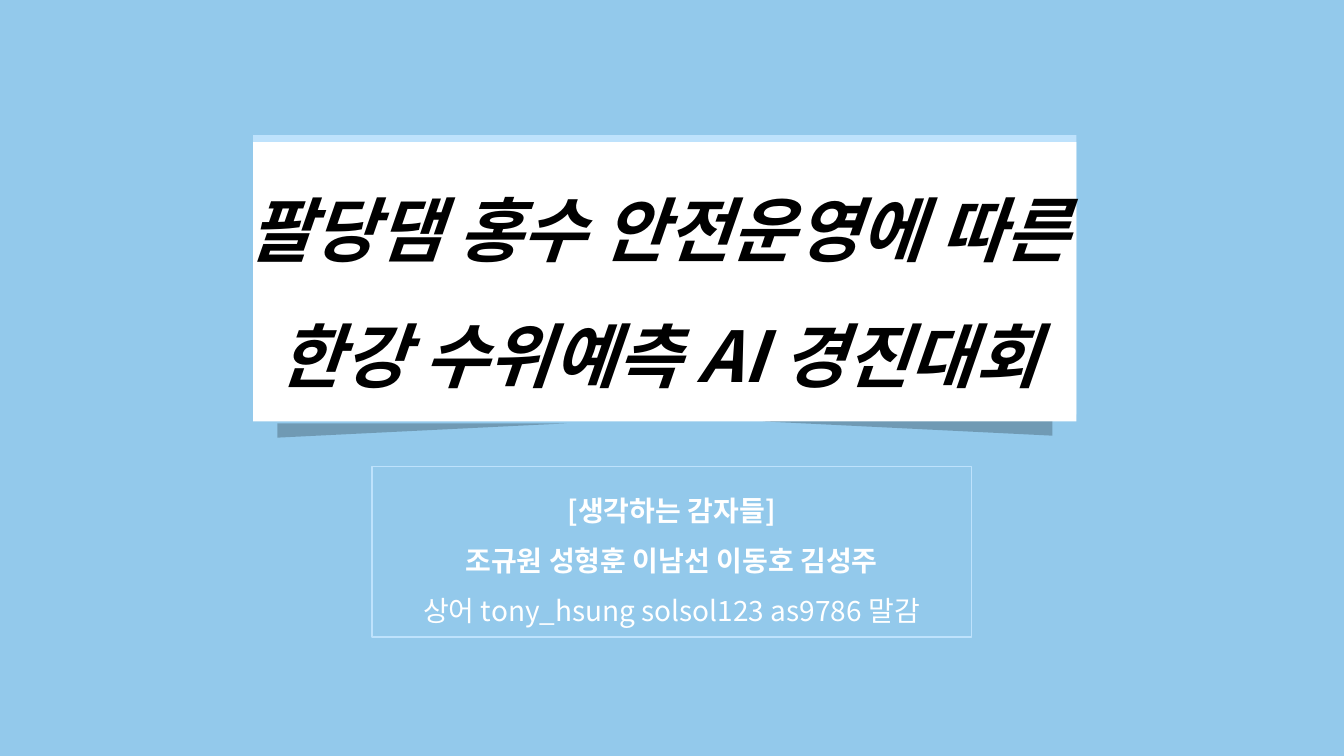
from pptx import Presentation
from pptx.dml.color import RGBColor
from pptx.enum.shapes import MSO_SHAPE as Kind
from pptx.enum.text import MSO_ANCHOR as Anchor, MSO_AUTO_SIZE as Fit, PP_ALIGN as Align
from pptx.oxml.ns import qn
from pptx.util import Cm, Pt
from lxml.etree import SubElement as Sub

SKY = RGBColor(0x93, 0xC9, 0xEB)
PALE = RGBColor(0xBE, 0xE2, 0xFC)
WHITE = RGBColor(0xFF, 0xFF, 0xFF)
BLACK = RGBColor(0, 0, 0)


class Cover:
    font = "Noto Sans CJK KR"

    def __init__(self, deck):
        self.slide = deck.slides.add_slide(deck.slide_layouts[0])
        fill = self.slide.background.fill
        fill.solid()
        fill.fore_color.rgb = SKY

    def shape(self, kind, box, color):
        shape = self.slide.shapes.add_shape(kind, *map(Cm, box))
        shape.shadow.inherit = False
        shape.fill.solid()
        shape.fill.fore_color.rgb = color
        shape.line.fill.background()
        return shape

    def card(self, box):
        card = self.shape(Kind.RECTANGLE, box, WHITE)
        effects = card._element.spPr.find(qn("a:effectLst"))
        shade = Sub(effects, qn("a:outerShdw"), blurRad="0", dist=str(Pt(5)),
                    dir=str(270 * 60000), algn="b", rotWithShape="0")
        Sub(shade, qn("a:srgbClr"), val=str(PALE))

    def curl(self, box, **flips):
        curl = self.shape(Kind.RIGHT_TRIANGLE, box, BLACK)
        props = curl._element.spPr
        for key, val in flips.items():
            props.find(qn("a:xfrm")).set(key, val)
        color = props.find(qn("a:solidFill"))[0]
        Sub(color, qn("a:alpha"), val="23000")

    def text(self, holder, box, lines, size, color, italic=False):
        holder.left, holder.top, holder.width, holder.height = map(Cm, box)
        self.slide.shapes._spTree.append(holder._element)
        frame = holder.text_frame
        frame.text = "\n".join(lines)
        frame.word_wrap = True
        frame.auto_size = Fit.NONE
        frame.vertical_anchor = Anchor.MIDDLE
        for par in frame.paragraphs:
            par.alignment = Align.CENTER
            par.line_spacing = 1.5
            par.space_before = Pt(0)
            for run in par.runs:
                font = run.font
                font.name, font.size = self.font, Pt(size)
                font.bold, font.italic = True, italic
                font.color.rgb = color
                Sub(font._element, qn("a:ea"), typeface=self.font)
        return holder


def main():
    deck = Presentation()
    deck.slide_width, deck.slide_height = Cm(33.87), Cm(19.05)
    cover = Cover(deck)
    title, team = cover.slide.placeholders

    cover.card((6.38, 3.58, 20.75, 7.04))
    cover.curl((6.99, 10.67, 7.29, 0.36), flipV="1")
    cover.curl((19.23, 10.62, 7.29, 0.36), flipH="1", flipV="1")

    names = ["[생각하는 감자들]", "조규원 성형훈 이남선 이동호 김성주",
             "상어 tony_hsung solsol123 as9786 말감"]
    cover.text(team, (9.37, 11.76, 15.11, 4.29), names, 20, WHITE)
    team.line.color.rgb = PALE
    team.line.width = Pt(1)
    team.text_frame.paragraphs[-1].runs[0].font.bold = False

    cover.text(title, (5.72, 3.61, 21.77, 6.4),
               ["팔당댐 홍수 안전운영에 따른 한강 수위예측 AI 경진대회"],
               50, BLACK, italic=True)
    deck.save("out.pptx")


if __name__ == "__main__":
    main()
